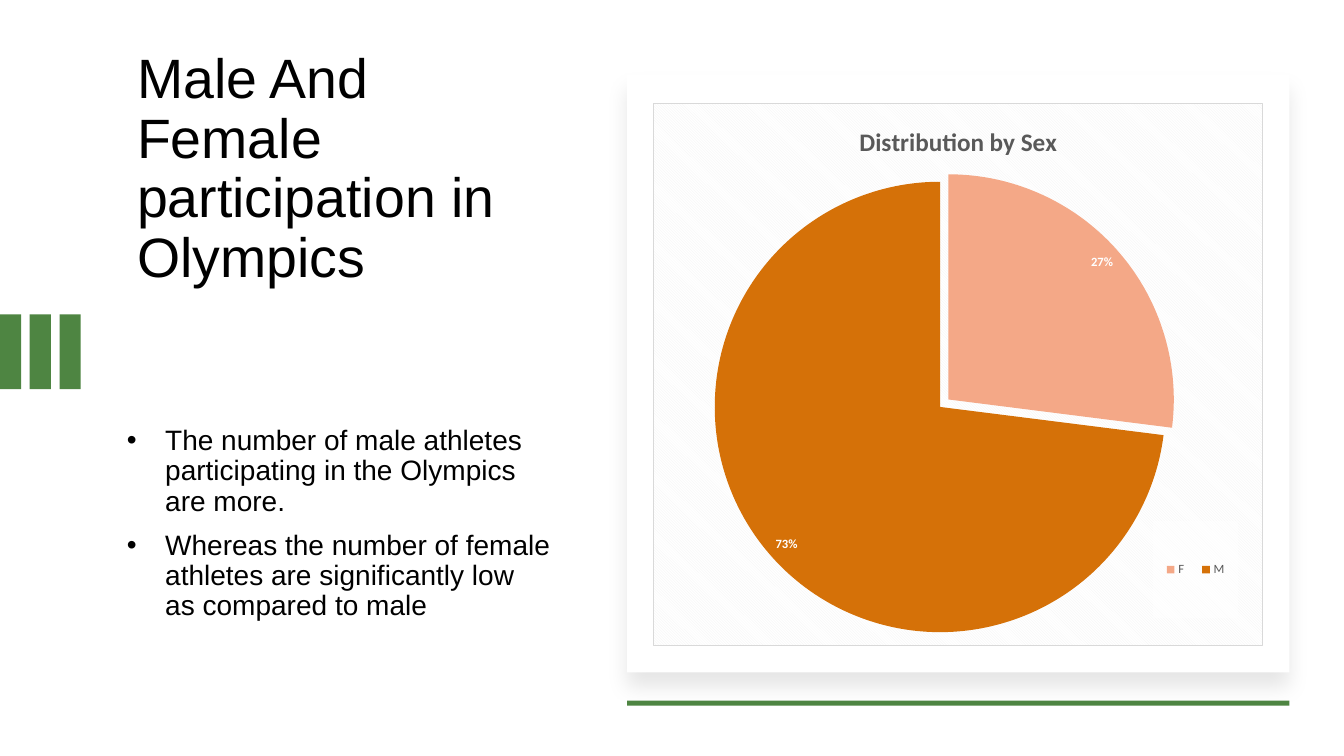
from pptx import Presentation
from pptx.chart.data import CategoryChartData
from pptx.dml.color import RGBColor
from pptx.enum.chart import XL_CHART_TYPE as ChartType
from pptx.enum.chart import XL_LABEL_POSITION as LabelPosition
from pptx.enum.chart import XL_LEGEND_POSITION as LegendPosition
from pptx.enum.shapes import MSO_SHAPE as Shape
from pptx.enum.text import MSO_ANCHOR as Anchor
from pptx.enum.text import MSO_AUTO_SIZE as AutoSize
from pptx.enum.text import PP_ALIGN as Align
from pptx.oxml import parse_xml
from pptx.oxml.ns import nsdecls
from pptx.util import Inches, Pt

GREEN, WHITE, BLACK, GREY = "4E8542", "FFFFFF", "000000", "595959"
SLICES = {"F": (27, "F4A887"), "M": (73, "D57108")}
POINTS = (
    "The number of male athletes participating in the Olympics are more.",
    "Whereas the number of female athletes are significantly low as compared to male",
)

SHADOW = f"""<a:effectLst {nsdecls('a')}>
  <a:outerShdw blurRad="190500" dist="139700" dir="5400000" algn="t" rotWithShape="0">
    <a:srgbClr val="000000"><a:alpha val="10000"/></a:srgbClr>
  </a:outerShdw></a:effectLst>"""
CHART_AREA = f"""<c:spPr {nsdecls('c', 'a')}>
  <a:pattFill prst="dkDnDiag">
    <a:fgClr><a:srgbClr val="F2F2F2"/></a:fgClr><a:bgClr><a:srgbClr val="FFFFFF"/></a:bgClr>
  </a:pattFill>
  <a:ln w="9525"><a:solidFill><a:srgbClr val="D9D9D9"/></a:solidFill></a:ln></c:spPr>"""
LEGEND_FILL = f"""<c:spPr {nsdecls('c', 'a')}>
  <a:solidFill><a:srgbClr val="FFFFFF"><a:alpha val="50000"/></a:srgbClr></a:solidFill></c:spPr>"""


def color(value):
    return RGBColor.from_string(value)


def set_font(font, name, size, shade, bold=False):
    font.name, font.size, font.bold = name, Pt(size), bold
    font.color.rgb = color(shade)


def manual_layout(x, y, width, height, inner=False):
    """Return a chart layout whose lengths are fractions of the chart."""
    target = '<c:layoutTarget val="inner"/>' if inner else ""
    return parse_xml(
        f'<c:layout {nsdecls("c")}><c:manualLayout>{target}'
        '<c:xMode val="edge"/><c:yMode val="edge"/>'
        f'<c:x val="{x}"/><c:y val="{y}"/><c:w val="{width}"/><c:h val="{height}"/>'
        "</c:manualLayout></c:layout>"
    )


class SlideBuilder:
    def __init__(self, deck, font="Arial", chart_font="Calibri"):
        self.page = deck.slides.add_slide(deck.slide_layouts[5])
        self.font, self.chart_font = font, chart_font

    def set_text(self, box, lines, size, anchor=Anchor.TOP, before=0, bullet=None):
        frame = box.text_frame
        frame.word_wrap, frame.auto_size = True, AutoSize.NONE
        frame.vertical_anchor = anchor
        for number, line in enumerate(lines):
            para = frame.add_paragraph() if number else frame.paragraphs[0]
            para.alignment, para.line_spacing = Align.LEFT, 0.9
            para.space_before = Pt(before)
            span = para.add_run()
            span.text = line
            set_font(span.font, self.font, size, BLACK)
            if bullet:
                style = para._p.get_or_add_pPr()
                style.set("marL", str(Inches(0.38)))
                style.set("indent", str(Inches(-0.38)))
                style.append(parse_xml(f'<a:buFont {nsdecls("a")} typeface="Arial"/>'))
                style.append(parse_xml(f'<a:buChar {nsdecls("a")} char="{bullet}"/>'))

    def title(self, text, left, top, width, height, size):
        box = self.page.shapes.title
        box.left, box.top = Inches(left), Inches(top)
        box.width, box.height = Inches(width), Inches(height)
        self.set_text(box, [text], size)

    def bullets(self, lines, left, top, width, height, size):
        box = self.page.shapes.add_textbox(
            Inches(left), Inches(top), Inches(width), Inches(height))
        self.set_text(box, lines, size, anchor=Anchor.BOTTOM, before=10, bullet="•")

    def rectangle(self, left, top, width, height, fill, shadow=False):
        box = self.page.shapes.add_shape(
            Shape.RECTANGLE, Inches(left), Inches(top), Inches(width), Inches(height))
        box.fill.solid()
        box.fill.fore_color.rgb = color(fill)
        box.line.fill.background()
        if shadow:
            box._element.spPr.append(parse_xml(SHADOW))
        else:
            box.shadow.inherit = False

    def pie(self, title, slices, left, top, width, height):
        data = CategoryChartData()
        data.categories = list(slices)
        data.add_series("Series 1", [value for value, _ in slices.values()])
        chart = self.page.shapes.add_chart(
            ChartType.PIE, Inches(left), Inches(top), Inches(width), Inches(height), data).chart
        set_font(chart.font, self.chart_font, 10, BLACK)
        chart._chartSpace.chart.addnext(parse_xml(CHART_AREA))

        chart.has_title = True
        heading = chart.chart_title.text_frame
        heading.text = title
        set_font(heading.paragraphs[0].runs[0].font, self.chart_font, 18, GREY, bold=True)

        plot = chart.plots[0]
        plot.vary_by_categories = True
        area = chart._chartSpace.chart.plotArea
        for layout in area.findall("{*}layout"):
            area.remove(layout)
        area.insert(0, manual_layout(0.1, 0.14, 0.74, 0.84, inner=True))
        for number, (_, shade) in enumerate(slices.values()):
            fill = plot.series[0].points[number].format.fill
            fill.solid()
            fill.fore_color.rgb = color(shade)
        first_point = plot.series[0]._element.find("{*}dPt")
        first_point.find("{*}spPr").addprevious(
            parse_xml(f'<c:explosion {nsdecls("c")} val="5"/>'))

        labels = plot.series[0].data_labels
        labels.show_percentage, labels.show_value = True, False
        labels.number_format, labels.number_format_is_linked = "0%", False
        labels.position = LabelPosition.INSIDE_END
        set_font(labels.font, self.chart_font, 9, WHITE, bold=True)

        chart.has_legend = True
        legend = chart.legend
        legend.position, legend.include_in_layout = LegendPosition.RIGHT, False
        set_font(legend.font, self.chart_font, 9, GREY)
        for layout in legend._element.findall("{*}layout"):
            legend._element.remove(layout)
        legend._element.find("{*}legendPos").addnext(manual_layout(0.82, 0.77, 0.14, 0.18))
        legend._element.find("{*}txPr").addprevious(parse_xml(LEGEND_FILL))


def main():
    deck = Presentation()
    deck.slide_width, deck.slide_height = Inches(13.33), Inches(7.5)
    slide = SlideBuilder(deck)
    slide.title("Male And Female participation in Olympics", 1.26, 0.45, 4.41, 2.61, 39.6)
    slide.bullets(POINTS, 1.16, 3.75, 4.41, 2.47, 20)
    for number in range(3):
        slide.rectangle(number * 0.295, 3.12, 0.21, 0.74, GREEN)
    slide.rectangle(6.22, 0.74, 6.57, 5.93, WHITE, shadow=True)
    slide.rectangle(6.22, 6.95, 6.57, 0.05, GREEN)
    slide.pie("Distribution by Sex", SLICES, 6.48, 1.02, 6.05, 5.39)
    deck.save("out.pptx")


if __name__ == "__main__":
    main()
